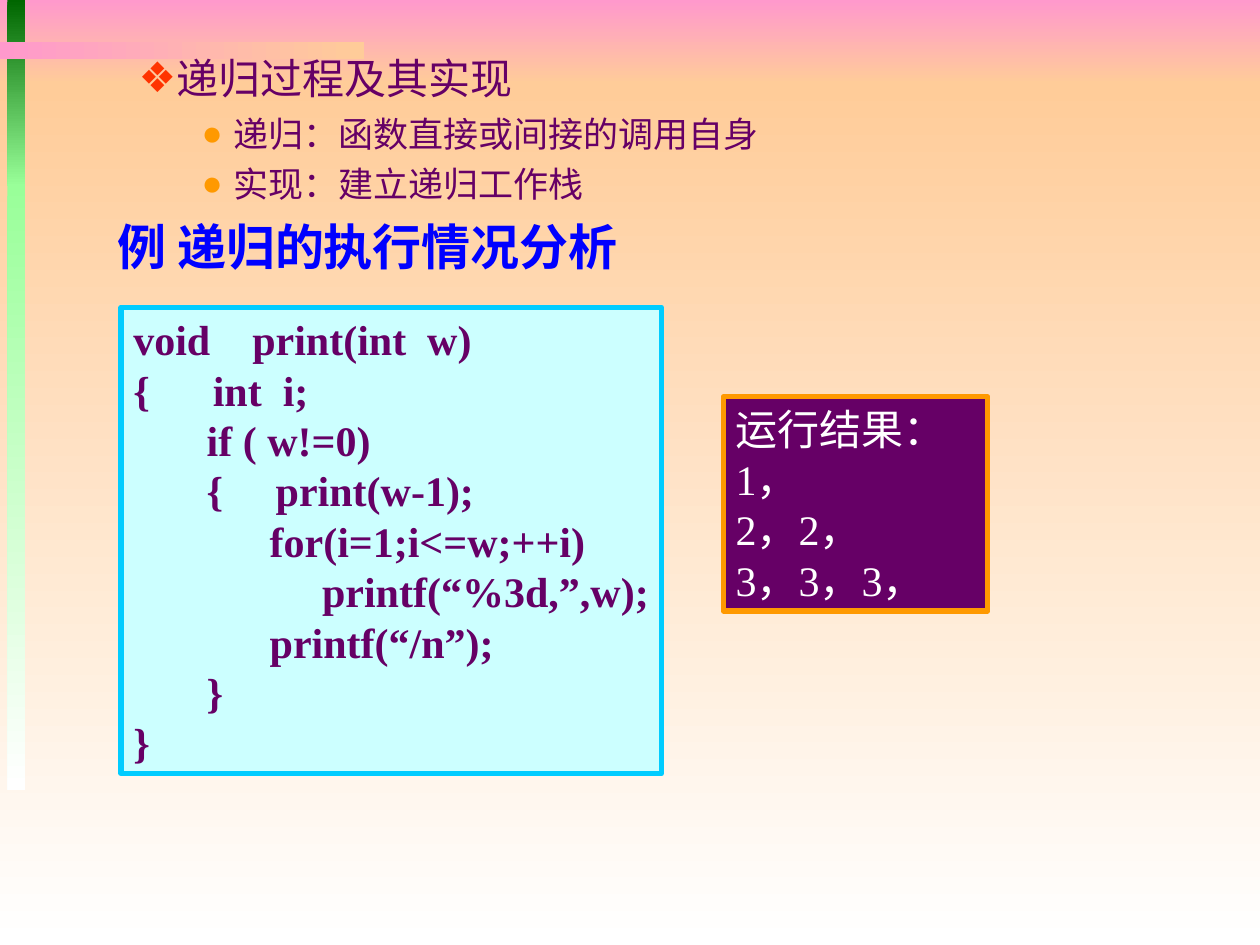
from dataclasses import dataclass

from lxml.etree import SubElement
from pptx import Presentation
from pptx.dml.color import RGBColor
from pptx.enum.shapes import MSO_SHAPE
from pptx.enum.text import MSO_ANCHOR, MSO_AUTO_SIZE, PP_ALIGN
from pptx.oxml.ns import qn
from pptx.util import Inches, Pt

COLORS = {
    "pink": "FF99CC", "peach": "FFCC99", "white": "FFFFFF",
    "dark_green": "006600", "light_green": "99FF99", "blue": "0000FF",
    "purple": "660066", "red": "FF3300", "orange": "FF9900",
    "pale_cyan": "CCFFFF", "cyan": "00CCFF",
}
CJK_FONT = "Noto Sans CJK SC"
LINE_HEIGHT = 1.2


@dataclass
class Band:
    box: tuple[float, float, float, float]
    start: str
    end: str
    angle: int = 270


@dataclass
class Bullet:
    text: str
    level: int
    char: str
    char_color: str
    size: int
    before: int


@dataclass
class Panel:
    box: tuple[float, float, float, float]
    lines: list[str]
    fill: str
    border: str
    ink: str
    bold: bool


BANDS = [
    Band((0, 0, 10, 0.67), "pink", "peach"),
    Band((0, 0.67, 10, 6.83), "peach", "white"),
    Band((0.06, 0, 0.14, 1.48), "dark_green", "light_green"),
    Band((0.06, 1.46, 0.14, 4.81), "light_green", "white"),
    Band((0, 0.33, 2.89, 0.14), "pink", "peach", 0),
]
BULLETS = [
    Bullet("递归过程及其实现", 2, "❖", "red", 24, 0),
    Bullet("递归：函数直接或间接的调用自身", 3, "●", "orange", 20, 5),
    Bullet("实现：建立递归工作栈", 3, "●", "orange", 20, 5),
]
PANELS = [
    Panel((0.96, 2.44, 4.29, 3.7), [
        "void    print(int  w)",
        "{      int  i;",
        "       if ( w!=0)",
        "       {     print(w-1);",
        "             for(i=1;i<=w;++i)",
        "                  printf(“%3d,”,w);",
        "             printf(“/n”);",
        "       }",
        "}",
    ], "pale_cyan", "cyan", "purple", True),
    Panel((5.74, 3.15, 2.1, 1.7),
          ["运行结果：", "1，", "2，2，", "3，3，3，"],
          "purple", "orange", "white", False),
]


def rgb(name: str) -> RGBColor:
    return RGBColor.from_string(COLORS[name])


def place(shape, box: tuple[float, float, float, float]) -> None:
    shape.left, shape.top, shape.width, shape.height = map(Inches, box)


def add_rectangle(slide, box: tuple[float, float, float, float]):
    rectangle = slide.shapes.add_shape(MSO_SHAPE.RECTANGLE, *map(Inches, box))
    rectangle.shadow.inherit = False
    return rectangle


def set_frame(frame, *, anchor=MSO_ANCHOR.TOP, wrap: bool = True) -> None:
    frame.auto_size = MSO_AUTO_SIZE.NONE
    frame.word_wrap = wrap
    frame.vertical_anchor = anchor
    frame.margin_left = frame.margin_right = Inches(0.1)
    frame.margin_top = frame.margin_bottom = Inches(0.05)


def write(paragraph, text: str, *, size: int, font: str, color: str,
          bold: bool = False, before: int = 0) -> None:
    paragraph.alignment = PP_ALIGN.LEFT
    paragraph.line_spacing = Pt(size * LINE_HEIGHT)
    paragraph.space_before = Pt(before)
    paragraph.space_after = Pt(0)
    run = paragraph.add_run()
    run.text = text
    run.font.size = Pt(size)
    run.font.bold = bold
    run.font.color.rgb = rgb(color)
    run.font.name = font
    SubElement(run.font._element, qn("a:ea"), typeface=CJK_FONT)


def paragraph_at(frame, index: int):
    return frame.add_paragraph() if index else frame.paragraphs[0]


def draw_band(slide, band: Band, depth: int) -> None:
    stripe = add_rectangle(slide, band.box)
    stripe.line.fill.background()
    stripe.fill.gradient()
    stripe.fill.gradient_angle = band.angle
    for stop, name, position in zip(stripe.fill.gradient_stops,
                                    (band.start, band.end), (0, 1)):
        stop.color.rgb = rgb(name)
        stop.position = position
    slide.shapes._spTree.insert(2 + depth, stripe._element)


def add_bullet(frame, index: int, bullet: Bullet) -> None:
    paragraph = paragraph_at(frame, index)
    paragraph.level = bullet.level
    properties = paragraph._p.get_or_add_pPr()
    properties.set("marL", str(Inches(0.25 + 0.5 * bullet.level)))
    properties.set("indent", str(Inches(-0.25)))
    tint = SubElement(properties, qn("a:buClr"))
    SubElement(tint, qn("a:srgbClr"), val=COLORS[bullet.char_color])
    SubElement(properties, qn("a:buChar"), char=bullet.char)
    write(paragraph, bullet.text, size=bullet.size, font="Arial",
          color="purple", before=bullet.before)


def draw_panel(slide, panel: Panel) -> None:
    card = add_rectangle(slide, panel.box)
    card.fill.solid()
    card.fill.fore_color.rgb = rgb(panel.fill)
    card.line.color.rgb = rgb(panel.border)
    card.line.width = Pt(3)
    set_frame(card.text_frame, anchor=MSO_ANCHOR.MIDDLE, wrap=False)
    for index, line in enumerate(panel.lines):
        write(paragraph_at(card.text_frame, index), line, size=24,
              font="Times New Roman", color=panel.ink, bold=panel.bold)


def main() -> None:
    deck = Presentation()
    deck.slide_width, deck.slide_height = Inches(10), Inches(7.5)
    slide = deck.slides.add_slide(deck.slide_layouts[1])

    for depth, band in enumerate(BANDS):
        draw_band(slide, band, depth)

    example = slide.shapes.title
    place(example, (0.83, 1.67, 5, 0.57))
    set_frame(example.text_frame)
    write(example.text_frame.paragraphs[0], "例 递归的执行情况分析",
          size=28, font=CJK_FONT, color="blue", bold=True)

    recursion = slide.placeholders[1]
    place(recursion, (0, 0.37, 9.3, 1.5))
    set_frame(recursion.text_frame)
    for index, bullet in enumerate(BULLETS):
        add_bullet(recursion.text_frame, index, bullet)

    for panel in PANELS:
        draw_panel(slide, panel)

    deck.save("out.pptx")


if __name__ == "__main__":
    main()
